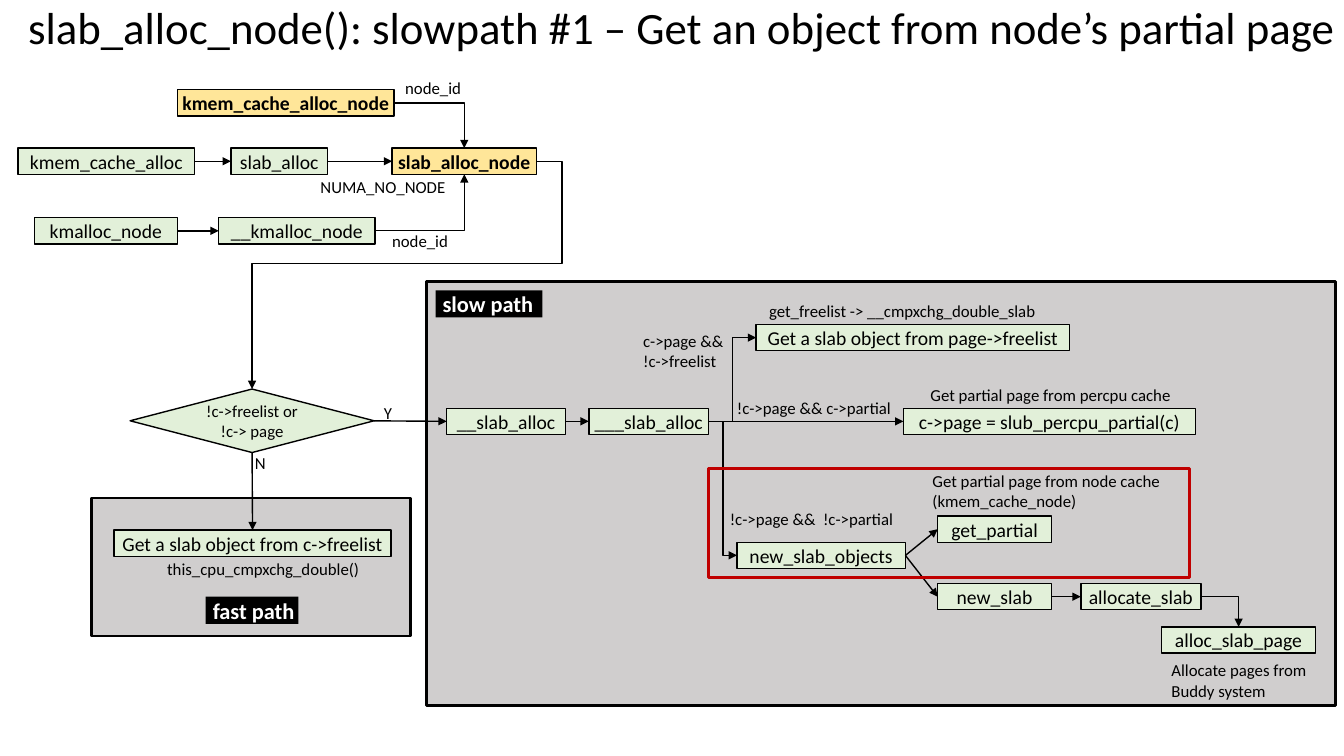
import collections

import pptx
import pptx.dml.color
import pptx.enum.shapes
import pptx.enum.text
import pptx.oxml
import pptx.oxml.ns
import pptx.util

Box = collections.namedtuple("Box", "x y w h")
PX = pptx.util.Inches(1) // 100
NODE_HEIGHT = 26
TOP, LEFT, BOTTOM, RIGHT = range(4)
SHAPE = pptx.enum.shapes.MSO_SHAPE
ALIGN = pptx.enum.text.PP_ALIGN
ANCHOR = pptx.enum.text.MSO_ANCHOR


class Theme:
    """Colours, type sizes and line widths of the slide."""
    font = "Calibri"
    ink, paper = "000000", "FFFFFF"
    panel, step, entry, focus = "D0CECE", "E2F0D9", "FFE699", "C00000"
    title, tag, node, label = 32, 16, 14, 12
    thin, thick = 1, 2


def rgb(code):
    """Return the colour for a hex code."""
    return pptx.dml.color.RGBColor.from_string(code)


def within(region, x, y, w, h):
    """Return a box measured from the corner of a region."""
    return Box(region.x + x, region.y + y, w, h)


def write(shape, text, size=Theme.label, color=Theme.ink, bold=False,
          align=ALIGN.LEFT, anchor=ANCHOR.TOP, insets=(10, 5, 10, 5), spacing=None):
    """Fill a shape with text, one paragraph per line."""
    frame = shape.text_frame
    frame.word_wrap = True
    frame.vertical_anchor = anchor
    left, top, right, bottom = (inset * PX for inset in insets)
    frame.margin_left, frame.margin_top = left, top
    frame.margin_right, frame.margin_bottom = right, bottom
    for index, line in enumerate(text.split("\n")):
        paragraph = frame.add_paragraph() if index else frame.paragraphs[0]
        paragraph.alignment = align
        paragraph.line_spacing = spacing
        run = paragraph.add_run()
        run.text = line
        run.font.name = Theme.font
        run.font.size = pptx.util.Pt(size)
        run.font.bold = bold
        run.font.color.rgb = rgb(color)


def add_block(slide, box, fill=None, line=Theme.ink, width=Theme.thin, kind=SHAPE.RECTANGLE):
    """Add a preset shape with its fill and outline."""
    block = slide.shapes.add_shape(kind, *(length * PX for length in box))
    block.shadow.inherit = False
    if fill:
        block.fill.solid()
        block.fill.fore_color.rgb = rgb(fill)
    else:
        block.fill.background()
    if line:
        block.line.color.rgb = rgb(line)
        block.line.width = pptx.util.Pt(width)
    else:
        block.line.fill.background()
    return block


def add_node(slide, region, text, x, y, w, fill=Theme.step):
    """Add a function box of the call graph."""
    node = add_block(slide, within(region, x, y, w, NODE_HEIGHT), fill)
    write(node, text, size=Theme.node, bold=fill == Theme.entry,
          align=ALIGN.CENTER, anchor=ANCHOR.MIDDLE, insets=(2, 5, 2, 5))
    return node


def add_label(slide, region, text, x, y, w, h=30, **style):
    """Add free text inside a region."""
    label = slide.shapes.add_textbox(*(length * PX for length in within(region, x, y, w, h)))
    write(label, text, **style)


def add_tag(slide, region, text, x, y, w):
    """Add the black name tag of a path."""
    tag = add_block(slide, within(region, x, y, w, 27), Theme.ink, line=None)
    write(tag, text, size=Theme.tag, color=Theme.paper, bold=True, insets=(7, 0, 0, 0))


def link(slide, source, target, leave=RIGHT, arrive=LEFT, route="line", bends=()):
    """Join two shapes with an arrow along a preset route."""
    arrow = slide.shapes.add_connector(pptx.enum.shapes.MSO_CONNECTOR.STRAIGHT, 0, 0, 0, 0)
    arrow.begin_connect(source, leave)
    arrow.end_connect(target, arrive)
    arrow.line.color.rgb = rgb(Theme.ink)
    arrow.line.width = pptx.util.Pt(Theme.thin)
    properties = arrow._element.spPr
    geometry = properties.find(pptx.oxml.ns.qn("a:prstGeom"))
    geometry.set("prst", route)
    guides = geometry.find(pptx.oxml.ns.qn("a:avLst"))
    for number, share in enumerate(bends, 1):
        guide = pptx.oxml.parse_xml(f'<a:gd {pptx.oxml.ns.nsdecls("a")} name="adj{number}"/>')
        guide.set("fmla", f"val {round(share * 100000)}")
        guides.append(guide)
    head = pptx.oxml.parse_xml(f'<a:tailEnd {pptx.oxml.ns.nsdecls("a")} type="triangle"/>')
    properties.find(pptx.oxml.ns.qn("a:ln")).append(head)
    properties.append(pptx.oxml.parse_xml(f'<a:effectLst {pptx.oxml.ns.nsdecls("a")}/>'))


def add_title(slide, region):
    """Place the slide title."""
    add_label(slide, region, "slab_alloc_node(): slowpath #1 – Get an object from node’s partial page",
              0, 0, region.w, region.h, size=Theme.title, anchor=ANCHOR.MIDDLE, spacing=0.9)


def add_callers(slide, region):
    """Draw the callers and return the allocator they reach."""
    cache_node = add_node(slide, region, "kmem_cache_alloc_node", 158, 17, 215, Theme.entry)
    cache = add_node(slide, region, "kmem_cache_alloc", 0, 75, 175)
    slab = add_node(slide, region, "slab_alloc", 211, 75, 96)
    allocator = add_node(slide, region, "slab_alloc_node", 371, 75, 143, Theme.entry)
    kmalloc = add_node(slide, region, "kmalloc_node", 16, 144, 142)
    inner_kmalloc = add_node(slide, region, "__kmalloc_node", 199, 144, 155)
    for source, target in ((cache, slab), (slab, allocator), (kmalloc, inner_kmalloc)):
        link(slide, source, target)
    link(slide, cache_node, allocator, arrive=TOP, route="bentConnector2")
    link(slide, inner_kmalloc, allocator, arrive=BOTTOM, route="bentConnector2")
    add_label(slide, region, "node_id", 374, 0, 80)
    add_label(slide, region, "NUMA_NO_NODE", 290, 98, 155)
    add_label(slide, region, "node_id", 361, 152, 80)
    return allocator


def add_decision(slide, region):
    """Draw the freelist check with its two answers."""
    decision = add_block(slide, region, Theme.step, kind=SHAPE.FLOWCHART_DECISION)
    write(decision, "!c->freelist or\n!c-> page", align=ALIGN.CENTER,
          anchor=ANCHOR.MIDDLE, insets=(0, 0, 0, 0))
    add_label(slide, region, "Y", region.w, 9, 31)
    add_label(slide, region, "N", 114, 58, 31)
    return decision


def add_fast_path(slide, region):
    """Draw the fast path and return its first step."""
    add_block(slide, region, Theme.panel, width=Theme.thick)
    first = add_node(slide, region, "Get a slab object from c->freelist", 22, 32, 275)
    add_label(slide, region, "this_cpu_cmpxchg_double()", 65, 55, 226)
    add_tag(slide, region, "fast path", 113, 98, 92)
    return first


def add_slow_path(slide, region):
    """Draw the slow path and return its first step."""
    add_block(slide, region, Theme.panel, width=Theme.thick)
    add_tag(slide, region, "slow path", 9, 9, 106)
    first = add_node(slide, region, "__slab_alloc", 20, 126, 118)
    branch = add_node(slide, region, "___slab_alloc", 161, 126, 119)
    page_list = add_node(slide, region, "Get a slab object from page->freelist", 327, 43, 311)
    percpu = add_node(slide, region, "c->page = slub_percpu_partial(c)", 473, 126, 290)
    new_objects = add_node(slide, region, "new_slab_objects", 308, 259, 167)
    get_partial = add_node(slide, region, "get_partial", 507, 233, 113)
    new_slab = add_node(slide, region, "new_slab", 507, 300, 113)
    allocate = add_node(slide, region, "allocate_slab", 649, 300, 119)
    slab_page = add_node(slide, region, "alloc_slab_page", 729, 343, 153)
    for source, target in ((first, branch), (branch, percpu), (new_objects, get_partial),
                           (new_objects, new_slab), (new_slab, allocate)):
        link(slide, source, target)
    for target in (page_list, new_objects):
        link(slide, branch, target, route="bentConnector3", bends=(0.5,))
    link(slide, allocate, slab_page, arrive=TOP, route="bentConnector2")
    for text, x, y, w, h in (
            ("get_freelist -> __cmpxchg_double_slab", 330, 14, 290, 30),
            ("c->page &&\n!c->freelist", 205, 44, 106, 50),
            ("Get partial page from percpu cache", 490, 98, 271, 30),
            ("!c->page && c->partial", 298, 111, 196, 30),
            ("Get partial page from node cache (kmem_cache_node)", 492, 183, 271, 50),
            ("!c->page &&  !c->partial", 291, 221, 186, 30),
            ("Allocate pages from Buddy system", 729, 371, 171, 50)):
        add_label(slide, region, text, x, y, w, h)
    add_block(slide, within(region, 280, 186, 477, 108), line=Theme.focus, width=Theme.thick)
    return first


def main():
    """Build and save the slide."""
    deck = pptx.Presentation()
    deck.slide_width, deck.slide_height = 1333 * PX, 750 * PX
    slide = deck.slides.add_slide(deck.slide_layouts[6])
    slow_start = add_slow_path(slide, Box(423, 279, 902, 421))
    fast_start = add_fast_path(slide, Box(91, 494, 316, 137))
    allocator = add_callers(slide, Box(18, 72, 514, 182))
    decision = add_decision(slide, Box(129, 386, 242, 63))
    add_title(slide, Box(18, -8, 1338, 75))
    link(slide, allocator, decision, arrive=TOP, route="bentConnector4", bends=(-0.09, 0.45))
    link(slide, decision, slow_start)
    link(slide, decision, fast_start, leave=BOTTOM, arrive=TOP)
    deck.save("out.pptx")


if __name__ == "__main__":
    main()
